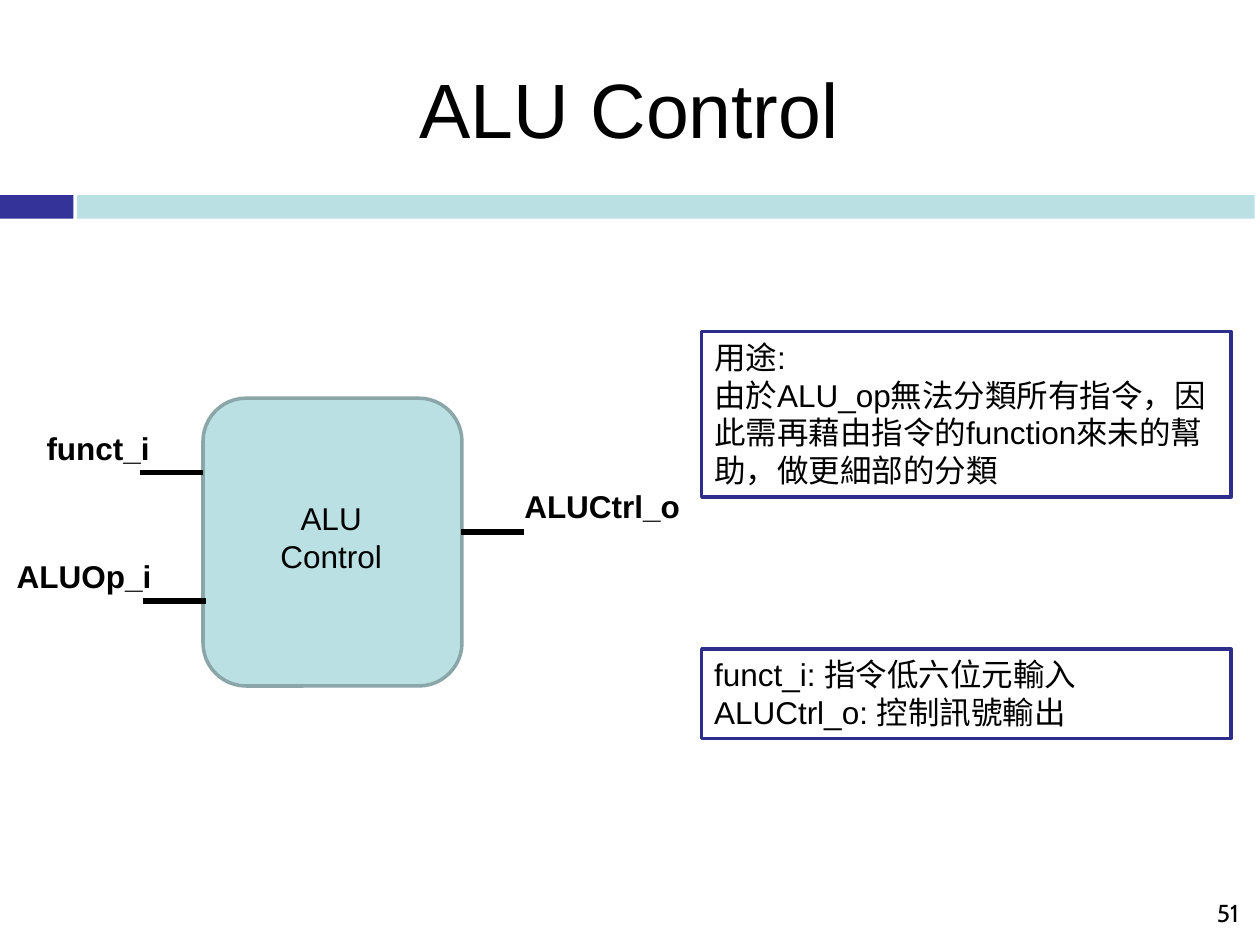
import pptx
import pptx.util
import pptx.dml.color
import pptx.enum.shapes
import pptx.enum.text
import pptx.oxml.ns
from lxml import etree

Pt = pptx.util.Pt
SHAPE = pptx.enum.shapes.MSO_SHAPE
ALIGN = pptx.enum.text.PP_ALIGN
ANCHOR = pptx.enum.text.MSO_ANCHOR

COLORS = {
    "navy": "333399", "aqua": "BBE0E3", "aqua_edge": "8AA6A8",
    "note_edge": "2D2D8A", "white": "FFFFFF", "black": "000000",
}
BODY = {"name": "Arial", "size": Pt(18), "bold": False}
LABEL = {**BODY, "bold": True}
TITLE = {**BODY, "size": Pt(44)}
NUMBER = {**BODY, "name": "Cabin", "size": Pt(14)}

TITLE_TEXT = "ALU Control"
TITLE_BOX = (82, 26, 568, 90)
TITLE_FRAME = {"margin_top": Pt(9), "margin_right": Pt(20),
               "vertical_anchor": ANCHOR.TOP, "word_wrap": True,
               "auto_size": pptx.enum.text.MSO_AUTO_SIZE.NONE}

PANELS = [
    (SHAPE.RECTANGLE, (0, 111.5, 42, 13.5), "navy", None),
    (SHAPE.RECTANGLE, (44, 111.5, 673, 13.5), "aqua", None),
    (SHAPE.ROUNDED_RECTANGLE, (116, 227.5, 148, 164.5), "aqua", "aqua_edge"),
]
NOTES = [
    ((401, 371, 302.5, 51), ["funct_i: 指令低六位元輸入", "ALUCtrl_o: 控制訊號輸出"]),
    ((401, 189.5, 302.5, 94.5),
     ["用途:", "由於ALU_op無法分類所有指令，因此需再藉由指令的function來未的幫助，做更細部的分類"]),
]
TEXTS = [
    ("funct_i", (19.5, 241.5, 73.5, 29), LABEL, ALIGN.LEFT),
    ("ALUOp_i", (2.5, 314.5, 102, 29), LABEL, ALIGN.LEFT),
    ("ALUCtrl_o", (292.5, 274.5, 109, 29), LABEL, ALIGN.LEFT),
    ("ALU Control", (141, 281.5, 96.5, 51), BODY, ALIGN.CENTER),
    ("51", (547, 508.5, 168, 26), NUMBER, ALIGN.RIGHT),
]
PINS = [(80, 270), (81.5, 343.5), (263.5, 304)]
PIN_LENGTH = 36


def rgb(name):
    return pptx.dml.color.RGBColor.from_string(COLORS[name])


def apply(target, values):
    for key, value in values.items():
        setattr(target, key, value)


def write(tf, lines, font, align):
    for i, line in enumerate(lines):
        p = tf.paragraphs[0] if i == 0 else tf.add_paragraph()
        p.alignment = align
        r = p.add_run()
        r.text = line
        apply(r.font, font)
        r.font.color.rgb = rgb("black")


def add_panel(s, kind, box, fill, edge):
    sp = s.shapes.add_shape(kind, *map(Pt, box))
    sp.shadow.inherit = False
    sp.fill.solid()
    sp.fill.fore_color.rgb = rgb(fill)
    if edge:
        sp.line.color.rgb = rgb(edge)
        sp.line.width = Pt(2)
    else:
        sp.line.fill.background()
    return sp


def add_pin(s, x, y):
    pin = s.shapes.add_connector(pptx.enum.shapes.MSO_CONNECTOR.STRAIGHT,
                                 Pt(x), Pt(y), Pt(x + PIN_LENGTH), Pt(y))
    pin.line.color.rgb = rgb("black")
    pin.line.width = Pt(3)
    etree.SubElement(pin._element.spPr, pptx.oxml.ns.qn("a:effectLst"))


def main():
    prs = pptx.Presentation()
    apply(prs, {"slide_width": Pt(720), "slide_height": Pt(540)})
    s = prs.slides.add_slide(prs.slide_layouts[5])

    title = s.shapes.title
    apply(title, dict(zip(("left", "top", "width", "height"), map(Pt, TITLE_BOX))))
    apply(title.text_frame, TITLE_FRAME)
    write(title.text_frame, [TITLE_TEXT], TITLE, ALIGN.CENTER)

    for panel in PANELS:
        add_panel(s, *panel)
    for x, y in PINS:
        add_pin(s, x, y)
    for box, lines in NOTES:
        sp = add_panel(s, SHAPE.RECTANGLE, box, "white", "note_edge")
        apply(sp.text_frame, {"word_wrap": True, "vertical_anchor": ANCHOR.TOP})
        write(sp.text_frame, lines, BODY, ALIGN.LEFT)
    for text, box, font, align in TEXTS:
        tf = s.shapes.add_textbox(*map(Pt, box)).text_frame
        apply(tf, {"word_wrap": True, "vertical_anchor": ANCHOR.MIDDLE})
        write(tf, [text], font, align)

    prs.save("out.pptx")


if __name__ == "__main__":
    main()
